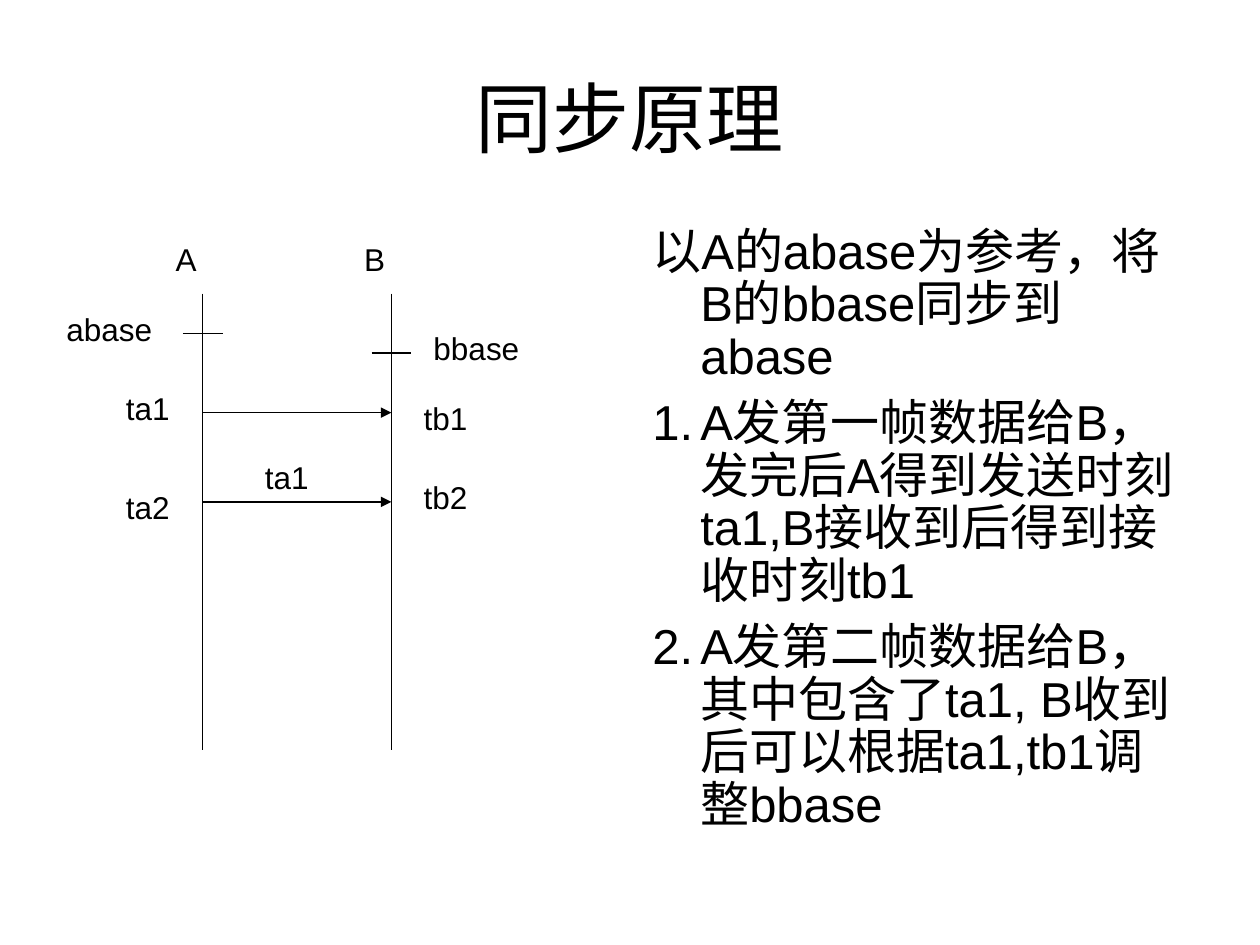
from dataclasses import dataclass

from lxml import etree
from pptx import Presentation
from pptx.dml.color import RGBColor
from pptx.enum.shapes import MSO_CONNECTOR
from pptx.enum.text import MSO_ANCHOR, PP_ALIGN
from pptx.oxml.ns import qn
from pptx.util import Cm, Inches, Pt

BLACK = RGBColor(0x00, 0x00, 0x00)
WHITE = RGBColor(0xFF, 0xFF, 0xFF)
FONT = "Arial"
STRAIGHT = MSO_CONNECTOR.STRAIGHT
MIDDLE = MSO_ANCHOR.MIDDLE
CENTER = PP_ALIGN.CENTER

CELL = Cm(0.2)
ORIGIN_X, ORIGIN_Y = Inches(1.61), Inches(2.33)
COL_A, COL_B = 0, 19
TIMELINE_ROWS = 46
TICK = 2
LABEL_ROWS = 5
SHORT, LONG = 7.4, 12


@dataclass(frozen=True)
class Line:
    col1: float
    row1: float
    col2: float
    row2: float
    arrow: bool = False


@dataclass(frozen=True)
class Label:
    text: str
    col: float
    row: float
    cols: float = SHORT


@dataclass(frozen=True)
class Item:
    text: str
    numbered: bool = True


LINES = [
    *(Line(col, 0, col, TIMELINE_ROWS) for col in (COL_A, COL_B)),
    *(Line(COL_A, row, COL_B, row, arrow=True) for row in (12, 21)),
    *(Line(col - TICK, row, col + TICK, row) for col, row in ((COL_A, 4), (COL_B, 6))),
]

LABELS = [
    Label("A", COL_A - 4, -6),
    Label("B", COL_B - 4, -6),
    Label("abase", -15, 1, LONG),
    Label("bbase", 22, 3, LONG),
    Label("ta1", -9, 9),
    Label("ta2", -9, 19),
    Label("tb1", 21, 10),
    Label("tb2", 21, 18),
    Label("ta1", 5, 16),
]

ITEMS = [
    Item("以A的abase为参考，将B的bbase同步到abase", numbered=False),
    Item("A发第一帧数据给B，发完后A得到发送时刻ta1,B接收到后得到接收时刻tb1"),
    Item("A发第二帧数据给B，其中包含了ta1, B收到后可以根据ta1,tb1调整bbase"),
]


def grid_x(col: float) -> int:
    return round(ORIGIN_X + col * CELL)


def grid_y(row: float) -> int:
    return round(ORIGIN_Y + row * CELL)


def add_text(shapes, box: tuple, text: str, size: int):
    sp = shapes.add_textbox(*box)
    tf = sp.text_frame
    tf.word_wrap = True
    tf.text = text
    for p in tf.paragraphs:
        for r in p.runs:
            r.font.name = FONT
            r.font.size = Pt(size)
            r.font.color.rgb = BLACK
    return tf


def add_line(shapes, line: Line) -> None:
    sp = shapes.add_connector(
        STRAIGHT,
        grid_x(line.col1), grid_y(line.row1),
        grid_x(line.col2), grid_y(line.row2),
    )
    sp.line.color.rgb = BLACK
    sp.line.width = Pt(0.75)
    if line.arrow:
        ln = sp.line._get_or_add_ln()
        etree.SubElement(ln, qn("a:tailEnd"), type="triangle")
    etree.SubElement(sp._element.spPr, qn("a:effectLst"))


def add_label(shapes, label: Label) -> None:
    box = (grid_x(label.col), grid_y(label.row),
           round(label.cols * CELL), LABEL_ROWS * CELL)
    add_text(shapes, box, label.text, 18)


def add_items(shapes, box: tuple, items: list[Item]) -> None:
    tf = add_text(shapes, box, "\n".join(item.text for item in items), 28)
    for p, item in zip(tf.paragraphs, items):
        p.line_spacing = 0.9
        p.space_before = Pt(7)
        pPr = p._p.get_or_add_pPr()
        pPr.set("marL", str(Inches(0.38)))
        pPr.set("indent", str(-Inches(0.38)))
        if item.numbered:
            etree.SubElement(pPr, qn("a:buFont"), typeface=FONT)
            etree.SubElement(pPr, qn("a:buAutoNum"), type="arabicPeriod")
        else:
            etree.SubElement(pPr, qn("a:buNone"))


def main() -> None:
    prs = Presentation()
    prs.slide_width, prs.slide_height = Inches(10), Inches(7.5)
    w, h = prs.slide_width, prs.slide_height
    s = prs.slides.add_slide(prs.slide_layouts[6])
    s.background.fill.solid()
    s.background.fill.fore_color.rgb = WHITE

    title_box = (round(w * 0.05), round(h * 0.04), round(w * 0.9), Inches(1.25))
    tf = add_text(s.shapes, title_box, "同步原理", 44)
    tf.vertical_anchor = MIDDLE
    tf.paragraphs[0].alignment = CENTER

    body_box = (Inches(5.08), Inches(1.75), Inches(4.42), round(h * 0.66))
    add_items(s.shapes, body_box, ITEMS)

    diagram = s.shapes.add_group_shape().shapes
    for line in LINES:
        add_line(diagram, line)
    for label in LABELS:
        add_label(diagram, label)

    prs.save("out.pptx")


if __name__ == "__main__":
    main()
